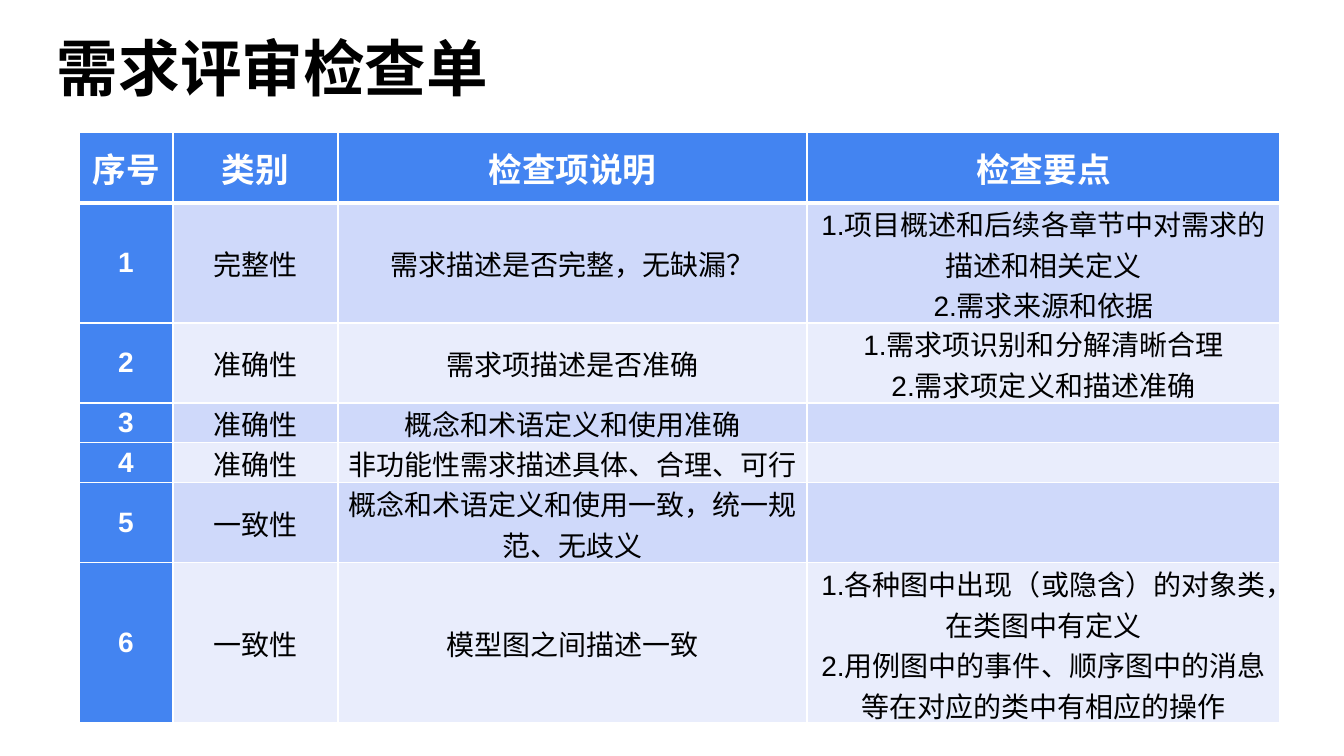
"""Build the requirements review checklist slide."""
import pptx
import pptx.util
import pptx.dml.color
import pptx.enum.text
import pptx.oxml
import pptx.oxml.ns

PX = 914400 / 100.8
WHITE = pptx.dml.color.RGBColor(0xFF, 0xFF, 0xFF)
BLACK = pptx.dml.color.RGBColor(0x00, 0x00, 0x00)
BLUE = pptx.dml.color.RGBColor(0x43, 0x84, 0xF1)
BANDS = [
    pptx.dml.color.RGBColor(0xE9, 0xED, 0xFC),
    pptx.dml.color.RGBColor(0xCF, 0xD9, 0xFA),
]
LINE_HEIGHT = 40
HEADER_HEIGHT = 71
COLUMN_WIDTHS = [94, 165, 469, 473]
BODY_LINES = [3, 2, 1, 1, 2, 4]
CHECKLIST = [
    ["序号", "类别", "检查项说明", "检查要点"],
    ["1", "完整性", "需求描述是否完整，无缺漏？",
     "1.项目概述和后续各章节中对需求的描述和相关定义\n2.需求来源和依据"],
    ["2", "准确性", "需求项描述是否准确",
     "1.需求项识别和分解清晰合理\n2.需求项定义和描述准确"],
    ["3", "准确性", "概念和术语定义和使用准确", ""],
    ["4", "准确性", "非功能性需求描述具体、合理、可行", ""],
    ["5", "一致性", "概念和术语定义和使用一致，统一规范、无歧义", ""],
    ["6", "一致性", "模型图之间描述一致",
     "1.各种图中出现（或隐含）的对象类，在类图中有定义\n"
     "2.用例图中的事件、顺序图中的消息等在对应的类中有相应的操作"],
]


def px(length):
    return pptx.util.Emu(round(length * PX))


def format_text(frame, size, color, bold):
    for para in frame.paragraphs:
        for span in para.runs:
            span.font.name = "Arial"
            span.font.size = pptx.util.Pt(size)
            span.font.bold = bold
            span.font.color.rgb = color


deck = pptx.Presentation()
deck.slide_width = px(1344)
deck.slide_height = px(756)
page = deck.slides.add_slide(deck.slide_layouts[6])

title = page.shapes.add_textbox(px(47), px(24), px(518), px(85)).text_frame
title.word_wrap = True
title.vertical_anchor = pptx.enum.text.MSO_ANCHOR.MIDDLE
title.text = "需求评审检查单"
format_text(title, 44, BLACK, True)

row_heights = [HEADER_HEIGHT] + [lines * LINE_HEIGHT for lines in BODY_LINES]
table = page.shapes.add_table(
    len(CHECKLIST), len(COLUMN_WIDTHS), px(79), px(132),
    px(sum(COLUMN_WIDTHS)), px(sum(row_heights))).table
for column, width in zip(table.columns, COLUMN_WIDTHS):
    column.width = px(width)
for row, height in zip(table.rows, row_heights):
    row.height = px(height)

for row_index, texts in enumerate(CHECKLIST):
    for column_index, text in enumerate(texts):
        cell = table.cell(row_index, column_index)
        header = row_index == 0
        accent = header or column_index == 0
        cell.text = text
        cell.vertical_anchor = pptx.enum.text.MSO_ANCHOR.MIDDLE
        cell.margin_left = cell.margin_right = px(4)
        cell.margin_top = cell.margin_bottom = 0
        for para in cell.text_frame.paragraphs:
            para.alignment = pptx.enum.text.PP_ALIGN.CENTER
        format_text(cell.text_frame, 24 if header else 20,
                    WHITE if accent else BLACK, accent)
        for side in ("L", "R", "T", "B"):
            thick = (row_index, side) in ((0, "B"), (1, "T"))
            width = pptx.util.Pt(3 if thick else 1)
            cell._tc.get_or_add_tcPr().append(pptx.oxml.parse_xml(
                f'<a:ln{side} {pptx.oxml.ns.nsdecls("a")} w="{width}"><a:solidFill>'
                f'<a:srgbClr val="{WHITE}"/></a:solidFill></a:ln{side}>'))
        cell.fill.solid()
        cell.fill.fore_color.rgb = BLUE if accent else BANDS[row_index % 2]

deck.save("out.pptx")
